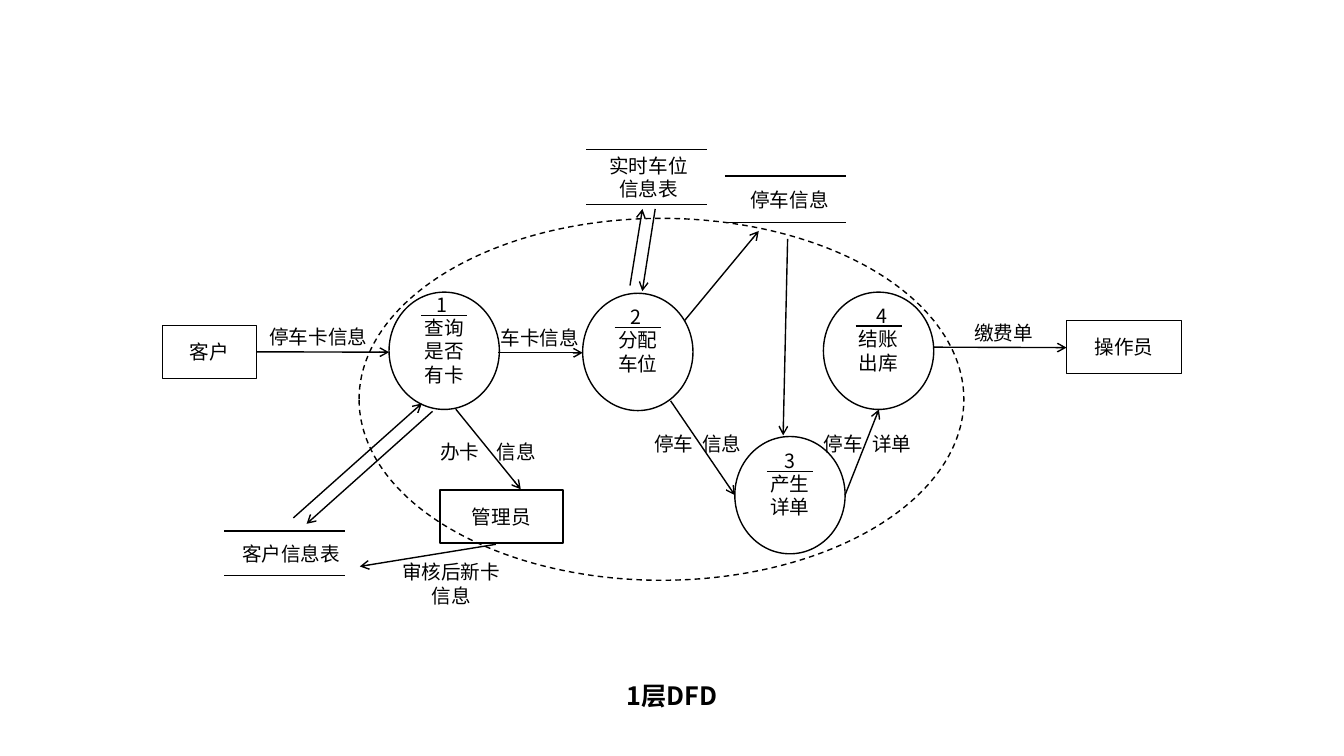
from lxml.etree import SubElement
from pptx import Presentation
from pptx.dml.color import RGBColor
from pptx.enum.dml import MSO_LINE
from pptx.enum.shapes import MSO_CONNECTOR, MSO_SHAPE
from pptx.enum.text import MSO_ANCHOR, PP_ALIGN
from pptx.oxml.ns import qn
from pptx.util import Pt

FONT = "Noto Sans CJK SC"
BLACK = "000000"
WHITE = "FFFFFF"
CIRCLE_WIDTH, CIRCLE_HEIGHT = 78.8, 83.8
STORE_WIDTH = 86.4
RULE_WIDTH = 33

ENTITIES = [
    ("客户", 115.9, 232.5, 67.2),
    ("操作员", 761.8, 228.8, 82.1),
    ("管理员", 314.2, 350, 88),
]
PROCESSES = [
    ("1", "查询是否有卡", 277.9, 208.7, 225.2, 315.4),
    ("2", "分配车位", 416.2, 209.5, 234, 454.3),
    ("3", "产生详单", 524.9, 311.8, 336.7, 564.5),
    ("4", "结账出库", 588.2, 208.7, 233, 630),
]
STORES = [
    ("实时车位信息表", 418.8, 107, 39.2, 463.3, 78.5),
    ("客户信息表", 160.3, 379.2, 32, 208, 95),
    ("停车信息", 517.7, 125.8, 33.2, 564, 78.5),
]
FLOWS = [
    (183.1, 251.3, 277.9, 251.6),
    (666.9, 248, 761.8, 248.3),
    (356, 252, 416.2, 252),
    (479, 286.3, 524.9, 353.7),
    (603.6, 353.7, 627.8, 292.5),
    (209.5, 370, 301.3, 288.2),
    (309, 293.8, 219, 374.2),
    (325.6, 292.3, 372, 349.5),
    (354.2, 388.8, 257, 404.6),
    (450, 204, 458.9, 149.3),
    (468, 149.3, 458.8, 208),
    (489, 229, 542, 165),
    (562.6, 170.6, 559.4, 311),
]
LABELS = [
    ("停车卡信息", 227.5, 240.5, 95),
    ("缴费单", 717, 237.6, 95),
    ("车卡信息", 385.7, 241.2, 95),
    ("办卡", 328.6, 322.6, 50),
    ("信息", 368.8, 322.6, 50),
    ("停车", 481.4, 317, 50),
    ("信息", 515.7, 317, 50),
    ("停车", 602.5, 317, 50),
    ("详单", 637, 317, 50),
    ("审核后新卡信息", 322.3, 417, 95),
]


def color(value):
    """Turn a hex string into a colour."""
    return RGBColor.from_string(value)


def write(shape, text, size=14, bold=False, inset=7.2):
    """Put centred text into a shape."""
    frame = shape.text_frame
    frame.text = text
    frame.word_wrap = True
    frame.vertical_anchor = MSO_ANCHOR.MIDDLE
    frame.margin_left = frame.margin_right = Pt(inset)
    para = frame.paragraphs[0]
    para.alignment = PP_ALIGN.CENTER
    para.line_spacing = Pt(size * 1.2)
    for span in para.runs:
        span.font.size = Pt(size)
        span.font.bold = bold
        span.font.name = FONT
        span.font.color.rgb = color(BLACK)
        SubElement(span.font._element, qn("a:ea"), typeface=FONT)


def add_label(page, text, center, middle, width, size=14, bold=False):
    """Add free text around a centre point."""
    height = 32
    box = page.shapes.add_textbox(Pt(center - width / 2), Pt(middle - height / 2),
                                  Pt(width), Pt(height))
    write(box, text, size, bold)


def add_outline(page, kind, left, top, width, height, fill=WHITE):
    """Add a black-outlined shape."""
    shape = page.shapes.add_shape(kind, Pt(left), Pt(top), Pt(width), Pt(height))
    shape.shadow.inherit = False
    if fill:
        shape.fill.solid()
        shape.fill.fore_color.rgb = color(fill)
    else:
        shape.fill.background()
    shape.line.color.rgb = color(BLACK)
    shape.line.width = Pt(1)
    return shape


def add_line(page, x1, y1, x2, y2, arrow=False):
    """Add a straight line, optionally ending in an open arrowhead."""
    line = page.shapes.add_connector(MSO_CONNECTOR.STRAIGHT, Pt(x1), Pt(y1), Pt(x2), Pt(y2))
    line.line.color.rgb = color(BLACK)
    line.line.width = Pt(1)
    if arrow:
        SubElement(line.line._get_or_add_ln(), qn("a:tailEnd"), type="arrow")
    SubElement(line._element.spPr, qn("a:effectLst"))


def add_process(page, number, name, left, top, rule_top, center):
    """Add a numbered process circle."""
    circle = add_outline(page, MSO_SHAPE.OVAL, left, top, CIRCLE_WIDTH, CIRCLE_HEIGHT)
    write(circle, name, inset=10)
    rule_left = left + (CIRCLE_WIDTH - RULE_WIDTH) / 2
    add_line(page, rule_left, rule_top, rule_left + RULE_WIDTH, rule_top)
    add_label(page, number, center, rule_top - 7.5, 30)


def add_store(page, name, left, top, height, center, text_width):
    """Add a data store between two rules."""
    for y in (top, top + height):
        add_line(page, left, y, left + STORE_WIDTH, y)
    add_label(page, name, center, top + height / 2, text_width)


def main():
    """Build the level 1 data flow diagram."""
    deck = Presentation()
    deck.slide_width, deck.slide_height = Pt(960), Pt(540)
    page = deck.slides.add_slide(deck.slide_layouts[6])
    for name, left, top, width in ENTITIES:
        write(add_outline(page, MSO_SHAPE.RECTANGLE, left, top, width, 37.8), name)
    for process in PROCESSES:
        add_process(page, *process)
    for store in STORES:
        add_store(page, *store)
    for flow in FLOWS:
        add_line(page, *flow, arrow=True)
    for label in LABELS:
        add_label(page, *label)
    boundary = add_outline(page, MSO_SHAPE.OVAL, 256.5, 156, 432, 258.5, fill=None)
    boundary.line.dash_style = MSO_LINE.DASH
    add_label(page, "1层DFD", 480, 497, 95, size=18, bold=True)
    deck.save("out.pptx")


if __name__ == "__main__":
    main()
